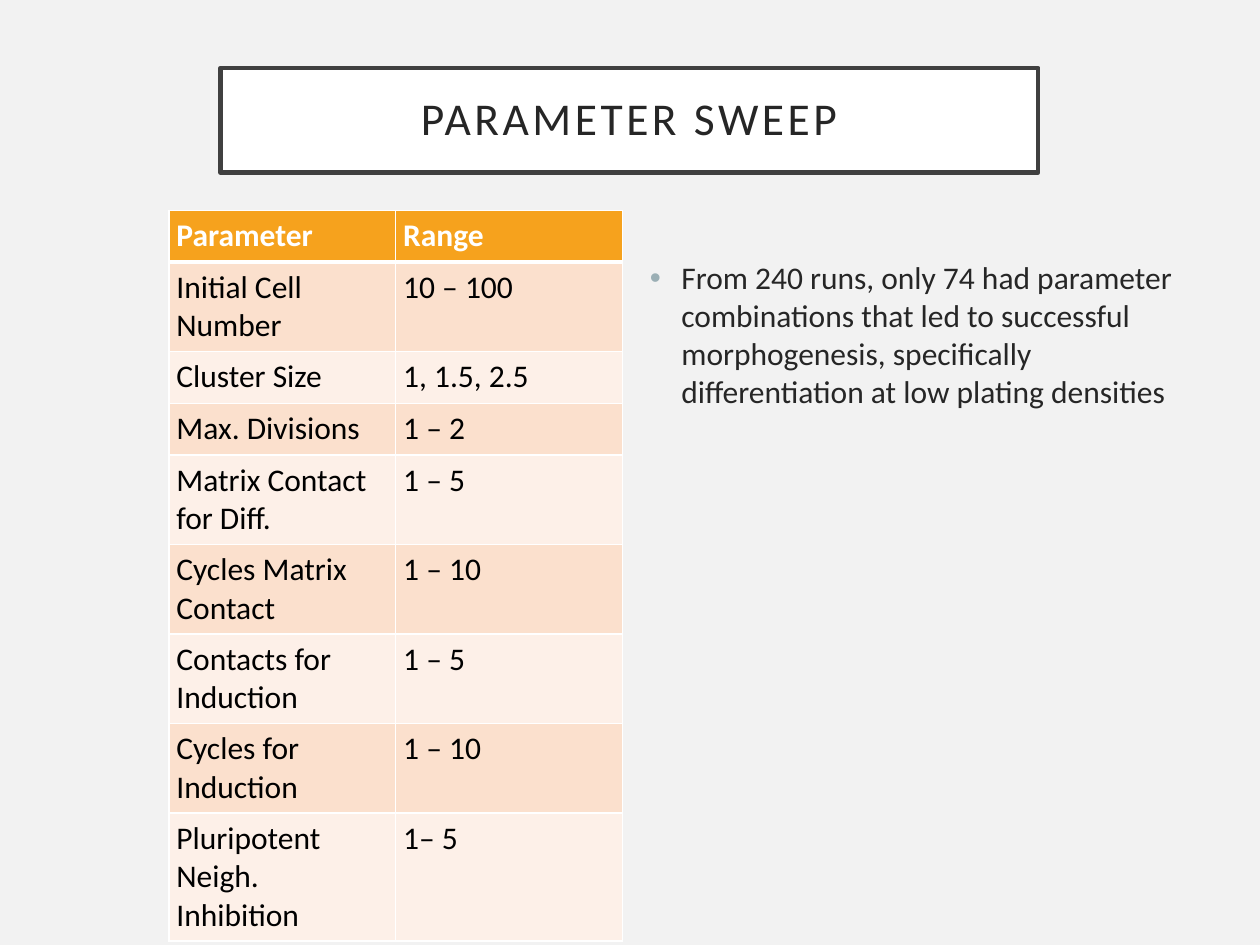
"""Build the parameter sweep slide: title, table of ranges and one finding."""
from lxml.etree import SubElement
from pptx import Presentation
from pptx.dml.color import RGBColor
from pptx.enum.shapes import MSO_SHAPE as Shape
from pptx.enum.text import MSO_ANCHOR as Anchor, PP_ALIGN as Align
from pptx.oxml.ns import qn
from pptx.util import Inches, Pt

TITLE = "PARAMETER SWEEP"
PARAMETERS = [
    ("Parameter", "Range"),
    ("Initial Cell Number", "10 – 100"),
    ("Cluster Size", "1, 1.5, 2.5"),
    ("Max. Divisions", "1 – 2"),
    ("Matrix Contact for Diff.", "1 – 5"),
    ("Cycles Matrix Contact", "1 – 10"),
    ("Contacts for Induction", "1 – 5"),
    ("Cycles for Induction", "1 – 10"),
    ("Pluripotent Neigh. Inhibition", "1– 5"),
]
FINDING = ("From 240 runs, only 74 had parameter combinations that led to successful "
           "morphogenesis, specifically differentiation at low plating densities")

FONT = "Calibri"
COLORS = {
    "background": "F2F2F2", "white": "FFFFFF", "frame": "404040", "text": "262626",
    "black": "000000", "header": "F6A21D", "odd": "FBE0CD", "even": "FDF0E8",
    "bullet": "9BAFB5",
}
COLUMN_WIDTH, ROW_HEIGHT = 1.8, 0.41


def rgb(name):
    return RGBColor.from_string(COLORS[name])


def paint(fill, color):
    fill.solid()
    fill.fore_color.rgb = rgb(color)


def add_run(paragraph, text, size, color, bold=False):
    run = paragraph.add_run()
    run.text = text
    run.font.name = FONT
    run.font.size = Pt(size)
    run.font.bold = bold
    run.font.color.rgb = rgb(color)
    return run


def set_insets(frame, across, down):
    frame.margin_left = frame.margin_right = Inches(across)
    frame.margin_top = frame.margin_bottom = Inches(down)


def add_borders(cell, widths):
    properties = cell._tc.get_or_add_tcPr()
    for side, width in widths.items():
        line = SubElement(properties, qn(f"a:ln{side}"), w=str(Pt(width)))
        solid = SubElement(line, qn("a:solidFill"))
        SubElement(solid, qn("a:srgbClr"), val=COLORS["white"])


def add_title(slide):
    title = slide.shapes.add_shape(
        Shape.RECTANGLE, Inches(1.75), Inches(0.54), Inches(6.49), Inches(0.83))
    title.shadow.inherit = False
    paint(title.fill, "white")
    title.line.color.rgb = rgb("frame")
    title.line.width = Pt(2.5)
    frame = title.text_frame
    frame.word_wrap = True
    frame.vertical_anchor = Anchor.MIDDLE
    set_insets(frame, 0.2, 0.2)
    paragraph = frame.paragraphs[0]
    paragraph.alignment = Align.CENTER
    paragraph.line_spacing = 0.9
    run = add_run(paragraph, TITLE, 26, "text")
    run.font._element.set("spc", "200")


def add_parameters(slide):
    rows, columns = len(PARAMETERS), len(PARAMETERS[0])
    table = slide.shapes.add_table(
        rows, columns, Inches(1.34), Inches(1.67),
        Inches(columns * COLUMN_WIDTH), Inches(rows * ROW_HEIGHT)).table
    for column in table.columns:
        column.width = Inches(COLUMN_WIDTH)
    for r, entries in enumerate(PARAMETERS):
        table.rows[r].height = Inches(ROW_HEIGHT)
        header = r == 0
        band = "header" if header else "odd" if r % 2 else "even"
        borders = {"L": 1, "R": 1, "T": 3 if r == 1 else 1, "B": 3 if header else 1}
        for c, entry in enumerate(entries):
            cell = table.cell(r, c)
            set_insets(cell, 0.06, 0.05)
            add_borders(cell, borders)
            paint(cell.fill, band)
            add_run(cell.text_frame.paragraphs[0], entry, 18,
                    "white" if header else "black", header)


def add_finding(slide):
    frame = slide.shapes.add_textbox(
        Inches(5.06), Inches(2), Inches(4.73), Inches(2.61)).text_frame
    frame.word_wrap = True
    paragraph = frame.paragraphs[0]
    properties = paragraph._p.get_or_add_pPr()
    properties.set("marL", str(Inches(0.25)))
    properties.set("indent", str(Inches(-0.25)))
    bullet_color = SubElement(properties, qn("a:buClr"))
    SubElement(bullet_color, qn("a:srgbClr"), val=COLORS["bullet"])
    SubElement(properties, qn("a:buFont"), typeface="Arial")
    SubElement(properties, qn("a:buChar"), char="•")
    add_run(paragraph, FINDING, 18, "text")


def main():
    deck = Presentation()
    deck.slide_width, deck.slide_height = Inches(10), Inches(7.5)
    slide = deck.slides.add_slide(deck.slide_layouts[6])
    paint(slide.background.fill, "background")
    add_title(slide)
    add_parameters(slide)
    add_finding(slide)
    deck.save("out.pptx")


if __name__ == "__main__":
    main()
